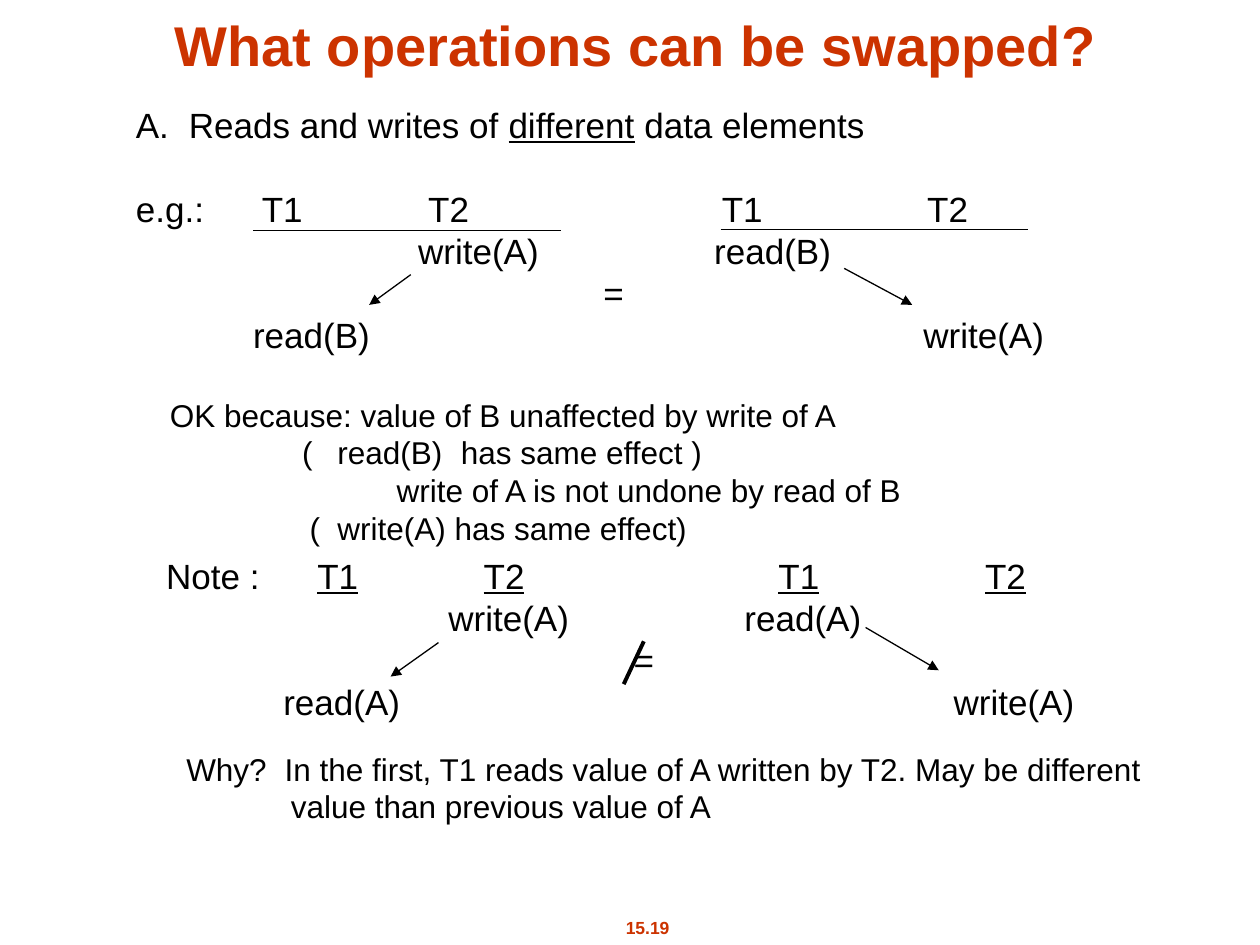
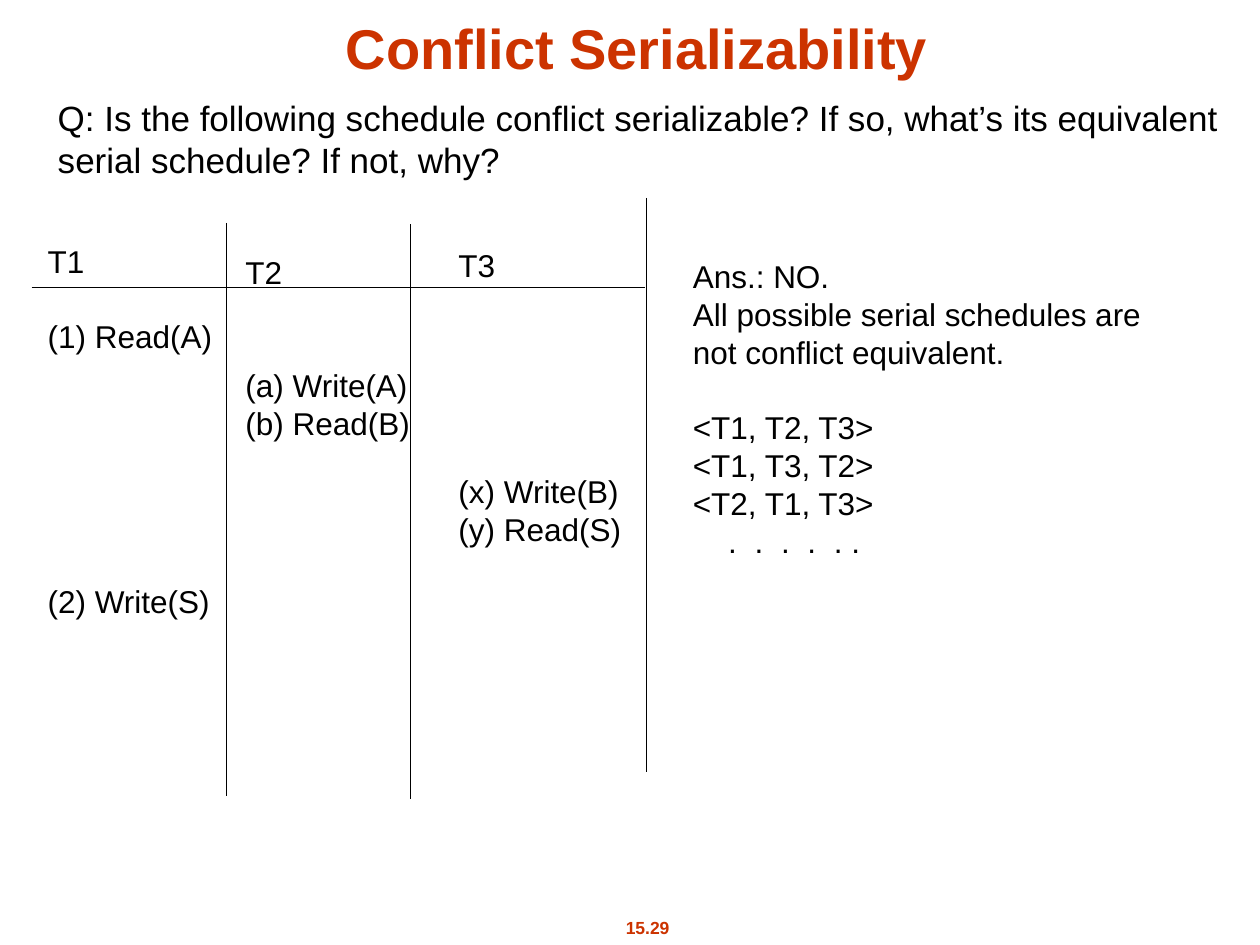
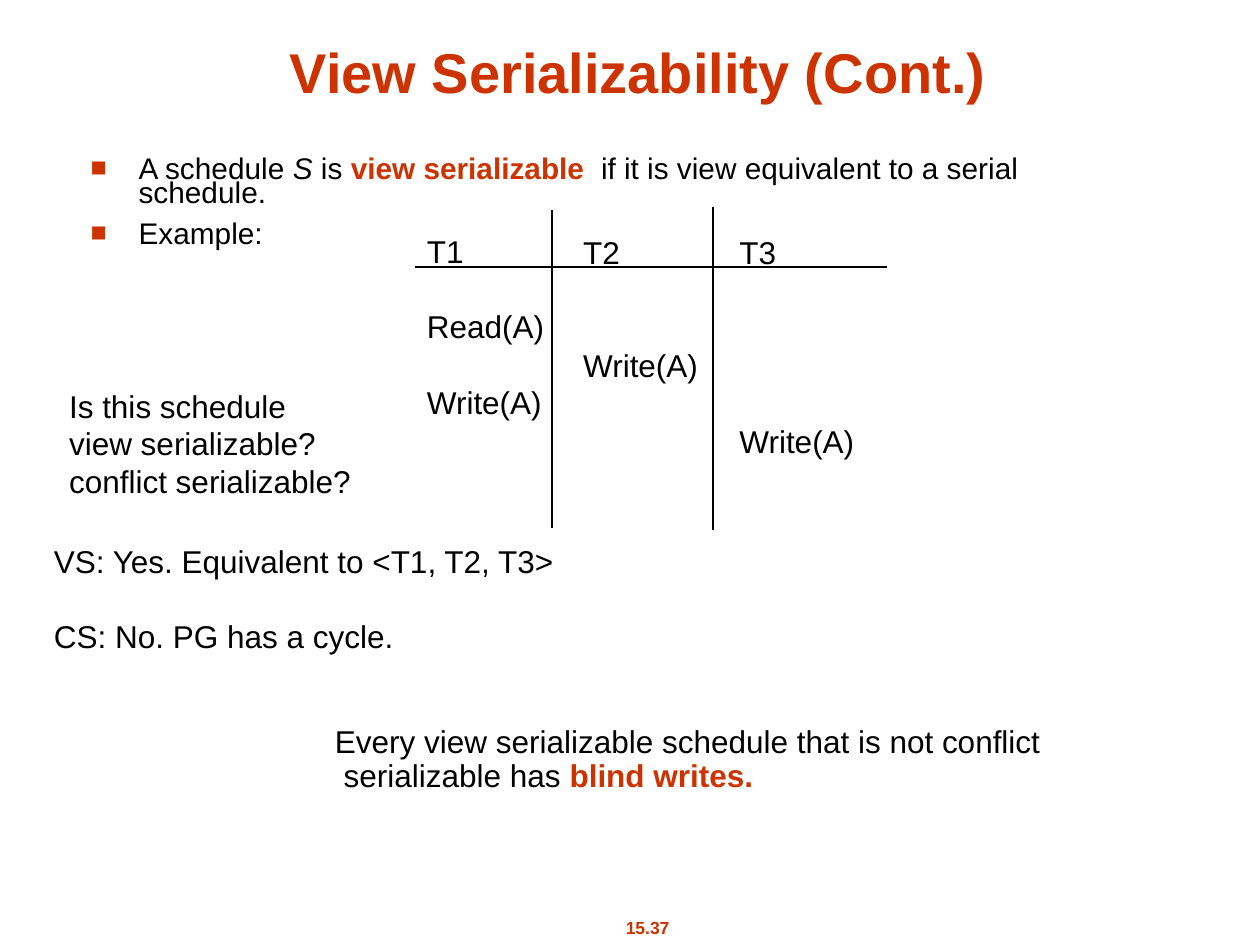
"""Builds three lecture slides on swapping operations and on serializability."""
from dataclasses import dataclass

from lxml import etree
from pptx import Presentation
from pptx import util as u
from pptx.dml.color import RGBColor
from pptx.enum import shapes, text
from pptx.oxml.ns import qn


@dataclass(frozen=True)
class Theme:
    font: str = "Arial"
    ink: str = "000000"
    accent: str = "CC3300"
    title: int = 32
    large: int = 20
    normal: int = 18
    bullet: int = 17
    footer: int = 10
    leading: float = 1.2


T = Theme()
UNDER = {"underline": True}
STRONG = {"bold": True, "color": T.accent}


def row(*runs, tabs=(), gap=0, left=0):
    return {"runs": runs, "tabs": tabs, "gap": gap, "left": left}


def swap(item):
    """Gives the three rows that move a read past a write."""
    return [
        row(f"\twrite(A)\tread({item})", tabs=(2.24, 4.59)),
        row("\t=", tabs=(3.71,)),
        row(f"\tread({item})\twrite(A)", tabs=(0.93, 6.25)),
    ]


SLIDES = [
    {
        "title": ("What operations can be swapped?", 0.63, 0),
        "number": "15.19",
        "texts": [
            ((0.98, 0.77, 7.42, 2.44), T.large, [
                row("A.\tReads and writes of ", ("different", UNDER),
                    " data elements", tabs=(0.42,)),
                row("e.g.:\tT1\tT2\tT1\tT2", tabs=(1, 2.32, 4.65, 6.28), gap=1),
                *swap("B"),
            ]),
            ((1.25, 3.09, 6.03, 1.3), T.normal, [
                row("OK because: value of B unaffected by write of A"),
                row("\t(\tread(B)\thas same effect )", tabs=(1.05, 1.33, 2.31)),
                row("write of A is not undone by read of B", left=1.8),
                row("\t(\twrite(A) has same effect)", tabs=(1.11, 1.33)),
            ]),
            ((1.22, 4.35, 7.42, 1.77), T.large, [
                row("Note :\t", ("T1\tT2", UNDER), "\t", ("T1\tT2", UNDER),
                    tabs=(1.2, 2.52, 4.86, 6.5)),
                *swap("A"),
            ]),
            ((1.38, 5.9, 7.81, 0.7), T.normal, [
                row("Why?\tIn the first, T1 reads value of A written by T2. "
                    "May be different", tabs=(0.78,)),
                row("value than previous value of A", left=0.83),
            ]),
        ],
        "lines": [(2.01, 1.83, 4.45, 1.83), (5.72, 1.82, 8.16, 1.82)],
        "arrows": [(3.26, 2.18, 2.93, 2.42), (6.7, 2.13, 7.24, 2.42),
                   (3.48, 5.1, 3.1, 5.37), (6.87, 4.98, 7.45, 5.32)],
        "strikes": [(5.11, 5.09, 4.95, 5.43)],
    },
    {
        "title": ("Conflict Serializability", 0.64, 0.02),
        "number": "15.29",
        "texts": [
            ((0.36, 0.72, 9.49, 0.77), T.large, [
                row("Q: Is the following schedule conflict serializable? "
                    "If so, what’s its equivalent"),
                row("serial schedule? If not, why?"),
            ]),
            ((0.28, 1.87, 1.5, 3.1), T.normal, [
                row("T1"), row("(1) Read(A)", gap=1), row("(2) Write(S)", gap=6)]),
            ((1.85, 1.96, 1.5, 1.9), T.normal, [
                row("T2"), row("(a) Write(A)", gap=2), row("(b) Read(B)")]),
            ((3.54, 1.9, 1.49, 2.5), T.normal, [
                row("T3"), row("(x) Write(B)", gap=5), row("(y) Read(S)")]),
            ((5.4, 1.99, 3.75, 2.5), T.normal, [
                row("Ans.: NO."),
                row("All possible serial schedules are"),
                row("not conflict equivalent."),
                row("<T1, T2, T3>", gap=1),
                row("<T1, T3, T2>"),
                row("<T2, T1, T3>"),
                row("\t.\t.\t.\t.\t. .", tabs=(0.28, 0.49, 0.7, 0.91, 1.12)),
            ]),
        ],
        "lines": [(0.25, 2.28, 5.12, 2.28), (1.8, 1.77, 1.8, 6.32),
                  (3.26, 1.78, 3.26, 6.34), (5.13, 1.57, 5.13, 6.13)],
    },
    {
        "title": ("View Serializability (Cont.)", 0.65, 0.21),
        "number": "15.37",
        "bullets": ((0.62, 1.22, 8.58, 1.16), [
            row("A schedule ", ("S", {"italic": True}), " is ",
                ("view serializable ", STRONG),
                " if it is view equivalent to a serial schedule."),
            row("Example:", gap=0.62),
        ]),
        "texts": [
            ((3.29, 1.79, 1.13, 1.6), T.normal, [
                row("T1"), row("Read(A)", gap=1), row("Write(A)", gap=1)]),
            ((4.53, 1.8, 1.11, 1.6), T.normal, [
                row("T2"), row("Write(A)", gap=2)]),
            ((5.77, 1.8, 1.11, 1.9), T.normal, [
                row("T3"), row("Write(A)", gap=4)]),
            ((2.56, 5.71, 5.8, 0.94), T.normal, [
                row("Every view serializable schedule that is not conflict"),
                row("serializable has ", ("blind writes.", STRONG), left=0.07),
            ], 0.9),
            ((0.45, 3.02, 2.43, 1), T.normal, [
                row("Is this schedule"), row("view serializable?"),
                row("conflict serializable?")]),
            ((0.33, 4.25, 4.2, 1), T.normal, [
                row("VS: Yes. Equivalent to <T1, T2, T3>"),
                row("CS: No. PG has a cycle.", gap=1)]),
        ],
        "lines": [(4.38, 1.67, 4.38, 4.19), (5.66, 1.64, 5.66, 4.21),
                  (3.29, 2.12, 7.04, 2.12)],
    },
]


def child(parent, tag, **attrs):
    return etree.SubElement(parent, qn(tag), attrs)


def place(sp, x, y, w, h):
    sp.left, sp.top, sp.width, sp.height = map(u.Inches, (x, y, w, h))


def write(sp, rows, size=T.normal, color=T.ink, bold=False, spacing=1,
          align=text.PP_ALIGN.LEFT, anchor=text.MSO_ANCHOR.TOP, bullet=None):
    """Fills a shape with formatted rows; gaps count in lines."""
    tf = sp.text_frame
    tf.word_wrap = True
    tf.auto_size = text.MSO_AUTO_SIZE.NONE
    tf.vertical_anchor = anchor
    pitch = size * T.leading * spacing
    for i, item in enumerate(rows):
        p = tf.add_paragraph() if i else tf.paragraphs[0]
        pPr = p._p.get_or_add_pPr()
        left, indent = (0.38, -0.38) if bullet else (item["left"], 0)
        if left:
            pPr.set("marL", str(u.Inches(left)))
            pPr.set("indent", str(u.Inches(indent)))
        if bullet:
            child(child(pPr, "a:buClr"), "a:srgbClr", val=T.accent)
            child(pPr, "a:buSzPct", val="90000")
            child(pPr, "a:buChar", char=bullet)
        if item["tabs"]:
            stops = child(pPr, "a:tabLst")
            for x in item["tabs"]:
                child(stops, "a:tab", pos=str(u.Inches(x)), algn="l")
        p.alignment = align
        p.line_spacing = u.Pt(pitch)
        p.space_before = u.Pt(pitch * item["gap"])
        for run in item["runs"]:
            words, fmt = (run, {}) if isinstance(run, str) else run
            r = p.add_run()
            r.text = words
            r.font.name, r.font.size = T.font, u.Pt(size)
            r.font.bold = fmt.get("bold", bold)
            r.font.italic = fmt.get("italic", False)
            r.font.underline = fmt.get("underline", False)
            r.font.color.rgb = RGBColor.from_string(fmt.get("color", color))


def add_text(s, box, rows, **fmt):
    write(s.shapes.add_textbox(*map(u.Inches, box)), rows, **fmt)


def add_line(s, ends, width=0.75, arrow=False):
    c = s.shapes.add_connector(shapes.MSO_CONNECTOR.STRAIGHT, *map(u.Inches, ends))
    c.line.width = u.Pt(width)
    c.line.color.rgb = RGBColor.from_string(T.ink)
    if arrow:
        child(c.line._get_or_add_ln(), "a:tailEnd", type="triangle")
    child(c._element.spPr, "a:effectLst")


def add_slide(prs, page):
    s = prs.slides.add_slide(prs.slide_layouts[1 if "bullets" in page else 5])
    title, x, y = page["title"]
    place(s.shapes.title, x, y, 8.83, 0.67)
    write(s.shapes.title, [row(title)], size=T.title, color=T.accent, bold=True,
          align=text.PP_ALIGN.CENTER, anchor=text.MSO_ANCHOR.BOTTOM)
    if "bullets" in page:
        box, rows = page["bullets"]
        body = s.placeholders[1]
        place(body, *box)
        write(body, rows, size=T.bullet, spacing=0.7, bullet="■")
    for (x, y, w, h), size, rows, *spacing in page["texts"]:
        add_text(s, (x, y, w + 0.1, h), rows, size=size,
                 spacing=spacing[0] if spacing else 1)
    for ends in page["lines"]:
        add_line(s, ends)
    for ends in page.get("arrows", ()):
        add_line(s, ends, arrow=True)
    for ends in page.get("strikes", ()):
        add_line(s, ends, width=2.25)
    add_text(s, (4.61, 7.23, 1.06, 0.27), [row(page["number"])], size=T.footer,
             color=T.accent, bold=True, align=text.PP_ALIGN.CENTER)


def main():
    prs = Presentation()
    prs.slide_width, prs.slide_height = u.Inches(10), u.Inches(7.5)
    for page in SLIDES:
        add_slide(prs, page)
    prs.save("out.pptx")


if __name__ == "__main__":
    main()
